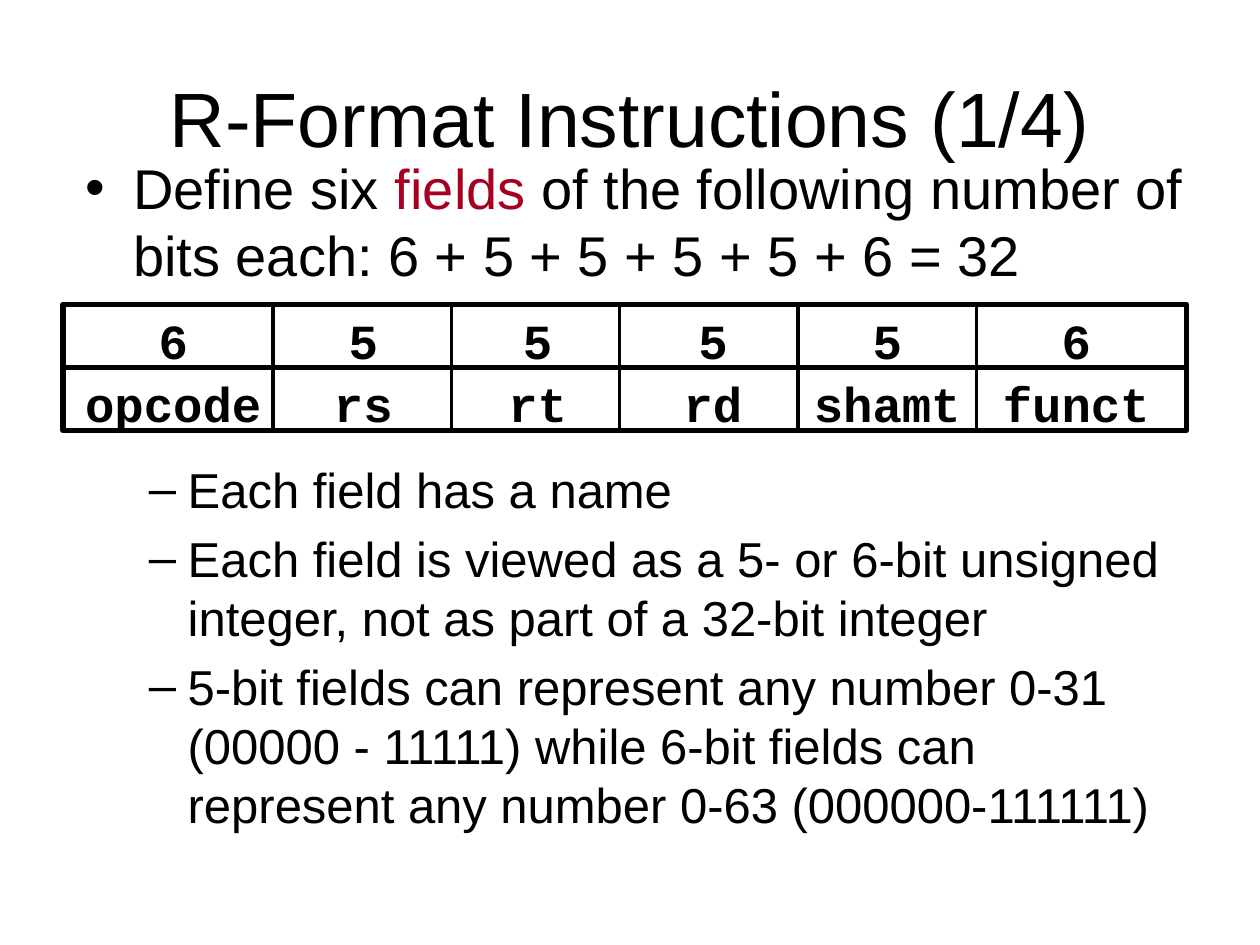
from dataclasses import dataclass

from lxml import etree
from pptx import Presentation
from pptx.dml.color import RGBColor
from pptx.enum.shapes import MSO_CONNECTOR, MSO_SHAPE
from pptx.enum.text import MSO_ANCHOR, PP_ALIGN
from pptx.oxml.ns import qn
from pptx.util import Emu, Pt

STRAIGHT = MSO_CONNECTOR.STRAIGHT
RECTANGLE = MSO_SHAPE.RECTANGLE
CENTER, LEFT = PP_ALIGN.CENTER, PP_ALIGN.LEFT
TOP, MIDDLE = MSO_ANCHOR.TOP, MSO_ANCHOR.MIDDLE
BLANK_LAYOUT = 6
EMU_PER_PX = 7620  # 120 px to the inch


def px(length):
    return Emu(length * EMU_PER_PX)


@dataclass(frozen=True)
class Theme:
    ink: RGBColor = RGBColor(0x00, 0x00, 0x00)
    accent: RGBColor = RGBColor(0xA5, 0x00, 0x21)
    sans: str = "Arial"
    mono: str = "Courier New"
    title_size: int = 44
    body_size: int = 32
    detail_size: int = 28
    frame_width: float = 3
    divider_width: float = 2.25


class SlideBuilder:
    def __init__(self, slide, theme):
        self.slide = slide
        self.theme = theme

    def text_box(self, left, top, width, height, anchor=TOP, wrap=True):
        box = self.slide.shapes.add_textbox(px(left), px(top), px(width), px(height))
        frame = box.text_frame
        frame.word_wrap = wrap
        frame.vertical_anchor = anchor
        return frame

    def add_spans(self, para, spans, size, align=LEFT, **formats):
        """Fill a paragraph with (text, colour) spans."""
        para.alignment = align
        font_values = {"name": self.theme.sans, "size": Pt(size), **formats}
        for text, color in spans:
            span = para.add_run()
            span.text = text
            span.font.color.rgb = color
            for name, value in font_values.items():
                setattr(span.font, name, value)

    def bullet(self, para, mark, margin, hanging):
        properties = para._p.get_or_add_pPr()
        properties.set("marL", str(px(margin)))
        properties.set("indent", str(-px(hanging)))
        etree.SubElement(properties, qn("a:buFont"), typeface=self.theme.sans)
        etree.SubElement(properties, qn("a:buChar"), char=mark)

    def label(self, text, center, top):
        width = 24 + 28 * len(text)
        frame = self.text_box(center - width // 2, top, width, 68, wrap=False)
        self.add_spans(frame.paragraphs[0], [(text, self.theme.ink)],
                       self.theme.detail_size, CENTER, name=self.theme.mono, bold=True)

    def frame(self, left, top, width, height):
        shape = self.slide.shapes.add_shape(
            RECTANGLE, px(left), px(top), px(width), px(height))
        shape.shadow.inherit = False
        shape.fill.background()
        shape.line.color.rgb = self.theme.ink
        shape.line.width = Pt(self.theme.frame_width)

    def divider(self, x, top, bottom):
        line = self.slide.shapes.add_connector(
            STRAIGHT, px(x), px(top), px(x), px(bottom))
        line.line.color.rgb = self.theme.ink
        line.line.width = Pt(self.theme.divider_width)
        etree.SubElement(line._element.spPr, qn("a:effectLst"))


# Instruction word: one row of bit counts, one row of field names
FIELD_ROWS = (
    ("6", "5", "5", "5", "5", "6"),
    ("opcode", "rs", "rt", "rd", "shamt", "funct"),
)
LABEL_CENTERS = (165, 346, 512, 679, 845, 1025)
DIVIDERS = (260, 430, 590, 760, 930)
WORD_LEFT, WORD_TOP, WORD_WIDTH, ROW_HEIGHT = 60, 290, 1070, 60

DETAILS = (
    "Each field has a name",
    "Each field is viewed as a 5- or 6-bit unsigned integer, "
    "not as part of a 32-bit integer",
    "5-bit fields can represent any number 0-31 (00000 - 11111) "
    "while 6-bit fields can represent any number 0-63 (000000-111111)",
)
GAP_FOR_WORD = 98
DETAIL_GAP = 6


def main():
    deck = Presentation()
    deck.slide_width, deck.slide_height = px(1200), px(900)
    page = deck.slides.add_slide(deck.slide_layouts[BLANK_LAYOUT])
    theme = Theme()
    builder = SlideBuilder(page, theme)

    # Field diagram
    for row, labels in enumerate(FIELD_ROWS):
        top = WORD_TOP + row * ROW_HEIGHT
        for text, center in zip(labels, LABEL_CENTERS):
            builder.label(text, center, top)
        builder.frame(WORD_LEFT, top, WORD_WIDTH, ROW_HEIGHT)
        for x in DIVIDERS:
            builder.divider(x, top, top + ROW_HEIGHT)

    # Title
    title = builder.text_box(60, 36, 1080, 150, MIDDLE)
    builder.add_spans(title.paragraphs[0], [("R-Format Instructions (1/4)", theme.ink)],
                      theme.title_size, CENTER)

    # Body: the main point, then details below the diagram
    body = builder.text_box(70, 140, 1080, 594)
    para = body.paragraphs[0]
    builder.bullet(para, "•", 45, 45)
    builder.add_spans(para, [
        ("Define six ", theme.ink),
        ("fields", theme.accent),
        (" of the following number of bits each: 6 + 5 + 5 + 5 + 5 + 6 = 32", theme.ink),
    ], theme.body_size)
    for index, text in enumerate(DETAILS):
        para = body.add_paragraph()
        builder.bullet(para, "–", 97, 37)
        para.space_before = Pt(DETAIL_GAP if index else GAP_FOR_WORD)
        builder.add_spans(para, [(text, theme.ink)], theme.detail_size)

    deck.save("out.pptx")


if __name__ == "__main__":
    main()
